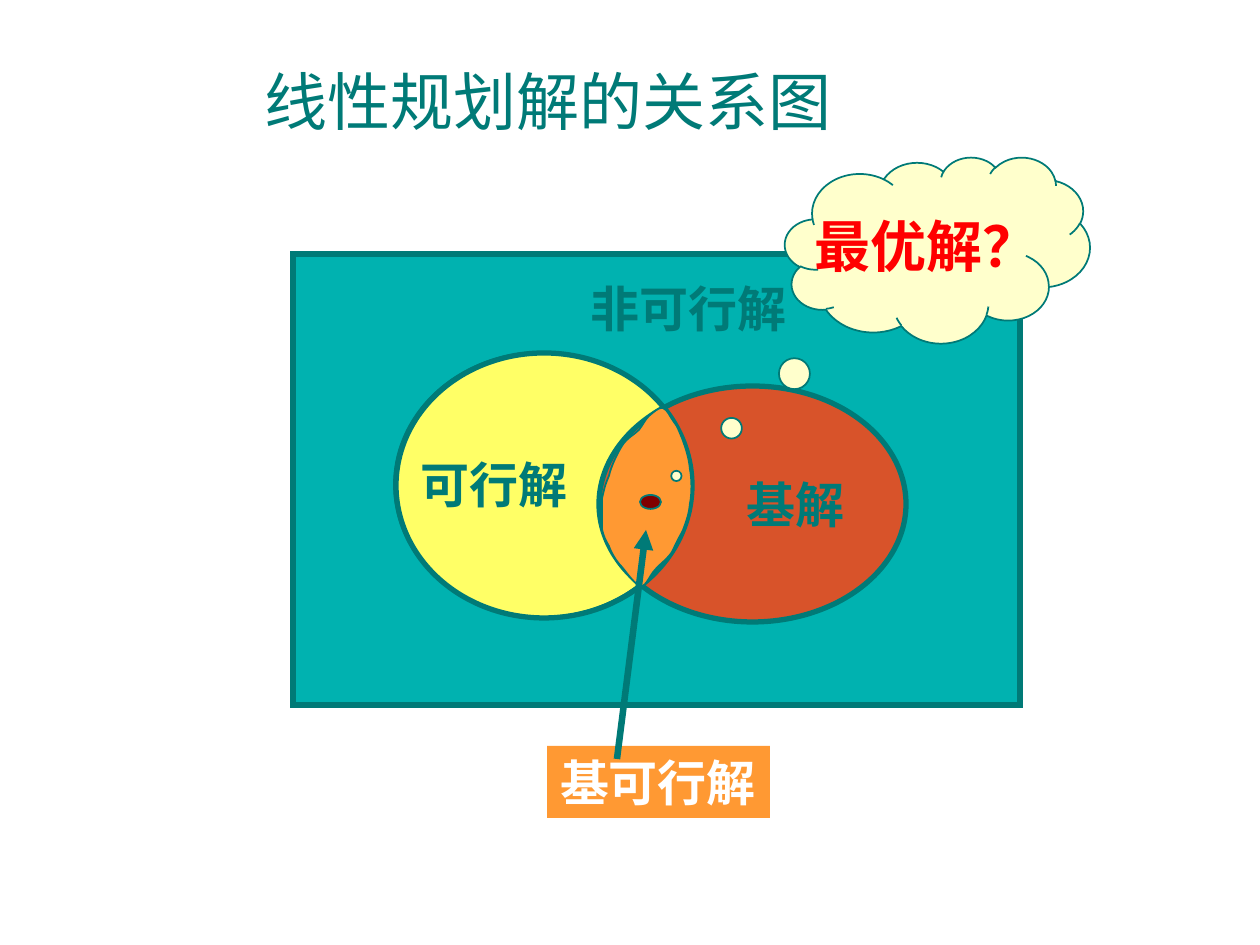
"""Build a slide on how the solution sets of a linear programme relate."""
from lxml.etree import SubElement
from pptx import Presentation
from pptx.dml.color import RGBColor
from pptx.enum.shapes import MSO_CONNECTOR, MSO_SHAPE
from pptx.enum.text import MSO_ANCHOR, PP_ALIGN
from pptx.oxml.ns import qn
from pptx.util import Pt

PX = 914400 // 126
COLORS = dict(teal="007A77", aqua="00B2B0", yellow="FFFF66", orange="FF9933",
              rust="D8532A", maroon="800000", cream="FFFFCC", red="FF0000",
              white="FFFFFF")
RECT, OVAL, CLOUD = MSO_SHAPE.RECTANGLE, MSO_SHAPE.OVAL, MSO_SHAPE.CLOUD_CALLOUT

TITLE = ("线性规划解的关系图", (239, 57, 788, 97),
         dict(size=36, bold=False, align=PP_ALIGN.LEFT, anchor=MSO_ANCHOR.TOP,
              left=26, top=5, wrap=True))
SETS = [
    (RECT, (291, 255, 727, 451), "aqua", 1, "非可行解",
     dict(anchor=MSO_ANCHOR.TOP, left=68, right=0, top=24)),
    (OVAL, (394, 352, 296, 265), "yellow", 1, "可行解",
     dict(font="Noto Sans CJK SC", left=0, right=96)),
    (RECT, (547, 746, 223, 72), "orange", 0, "基可行解",
     dict(color="white", align=PP_ALIGN.LEFT, anchor=MSO_ANCHOR.TOP, top=7)),
    (RECT, (293, 254, 727, 451), None, 3, "", {}),
    (OVAL, (599, 386, 307, 236), "rust", 3, "基解", dict(left=86, right=0)),
    (OVAL, (396, 353, 296, 265), None, 3, "", {}),
]
OVERLAP_START = (641, 586)
OVERLAP_CURVES = [
    ((636, 586), (627, 573), (622, 567)), ((616, 561), (611, 552), (609, 546)),
    ((605, 539), (604, 537), (602, 529)), ((602, 522), (602, 508), (602, 499)),
    ((604, 490), (605, 485), (609, 476)), ((611, 467), (617, 454), (622, 446)),
    ((627, 438), (634, 435), (639, 430)), ((643, 425), (645, 420), (649, 416)),
    ((654, 412), (659, 407), (663, 408)), ((668, 410), (670, 417), (674, 422)),
    ((678, 427), (679, 431), (682, 438)), ((685, 446), (689, 457), (690, 469)),
    ((692, 479), (692, 494), (690, 504)), ((689, 514), (687, 519), (685, 525)),
    ((683, 532), (679, 537), (677, 542)), ((674, 547), (673, 552), (669, 556)),
    ((665, 561), (660, 564), (655, 570)), ((650, 575), (646, 587), (641, 586)),
]
OPTIMUM = [
    (OVAL, (640, 495, 21, 14), "maroon", 1, "", {}),
    (CLOUD, (785, 157, 305, 186), "cream", 1, "最优解？",
     dict(size=32, color="red")),
]
CLOUD_TAIL = (-0.856, 1.215)
ARROW = (617, 759, 646, 530)


def rgb(name):
    return RGBColor.from_string(COLORS[name])


def set_text(sp, text, size=28, color="teal", font="Arial", bold=True,
             align=PP_ALIGN.CENTER, anchor=MSO_ANCHOR.MIDDLE,
             left=13, right=13, top=6, wrap=False):
    tf = sp.text_frame
    tf.word_wrap = wrap
    tf.vertical_anchor = anchor
    tf.margin_left, tf.margin_right, tf.margin_top = left * PX, right * PX, top * PX
    p = tf.paragraphs[0]
    p.alignment = align
    r = p.add_run()
    r.text = text
    r.font.size, r.font.bold, r.font.name = Pt(size), bold, font
    r.font.color.rgb = rgb(color)


def paint(sp, fill, width):
    sp.shadow.inherit = False
    if fill:
        sp.fill.solid()
        sp.fill.fore_color.rgb = rgb(fill)
    else:
        sp.fill.background()
    if width:
        sp.line.color.rgb = rgb("teal")
        sp.line.width = Pt(width)
        SubElement(sp.line._get_or_add_ln(), qn("a:miter"), lim="800000")
    else:
        sp.line.fill.background()


def add_shape(s, kind, box, fill, width, text, fmt):
    sp = s.shapes.add_shape(kind, *(v * PX for v in box))
    paint(sp, fill, width)
    if text:
        set_text(sp, text, **fmt)
    return sp


def add_overlap(s):
    fb = s.shapes.build_freeform(*OVERLAP_START, scale=PX)
    fb.add_line_segments([pt for curve in OVERLAP_CURVES for pt in curve], close=True)
    sp = fb.convert_to_shape()
    lines = list(sp._element.iter(qn("a:lnTo")))
    for i in range(0, len(lines), 3):
        trio = lines[i:i + 3]
        curve = SubElement(trio[0].getparent(), qn("a:cubicBezTo"))
        trio[0].addprevious(curve)
        for line in trio:
            curve.append(line[0])
            line.getparent().remove(line)
    paint(sp, "orange", 1)


def add_arrow(s):
    line = s.shapes.add_connector(MSO_CONNECTOR.STRAIGHT, *(v * PX for v in ARROW))
    line.line.color.rgb = rgb("teal")
    line.line.width = Pt(3.75)
    SubElement(line.line._get_or_add_ln(), qn("a:tailEnd"), type="triangle")
    SubElement(line._element.spPr, qn("a:effectLst"))


def main():
    prs = Presentation()
    prs.slide_width, prs.slide_height = 1260 * PX, 945 * PX
    s = prs.slides.add_slide(prs.slide_layouts[6])
    text, box, fmt = TITLE
    set_text(s.shapes.add_textbox(*(v * PX for v in box)), text, **fmt)
    for item in SETS:
        add_shape(s, *item)
    add_overlap(s)
    for item in OPTIMUM:
        sp = add_shape(s, *item)
    for i, value in enumerate(CLOUD_TAIL):
        sp.adjustments[i] = value
    add_arrow(s)
    prs.save("out.pptx")


if __name__ == "__main__":
    main()
